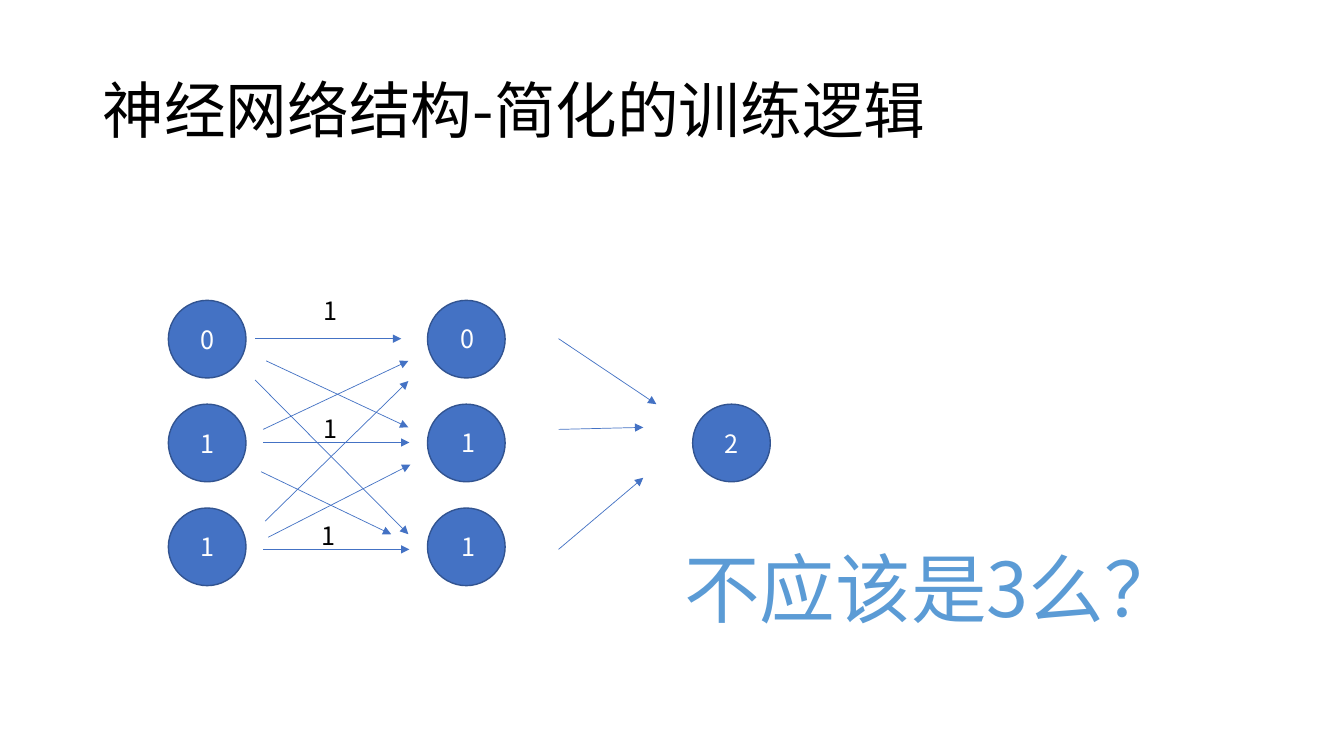
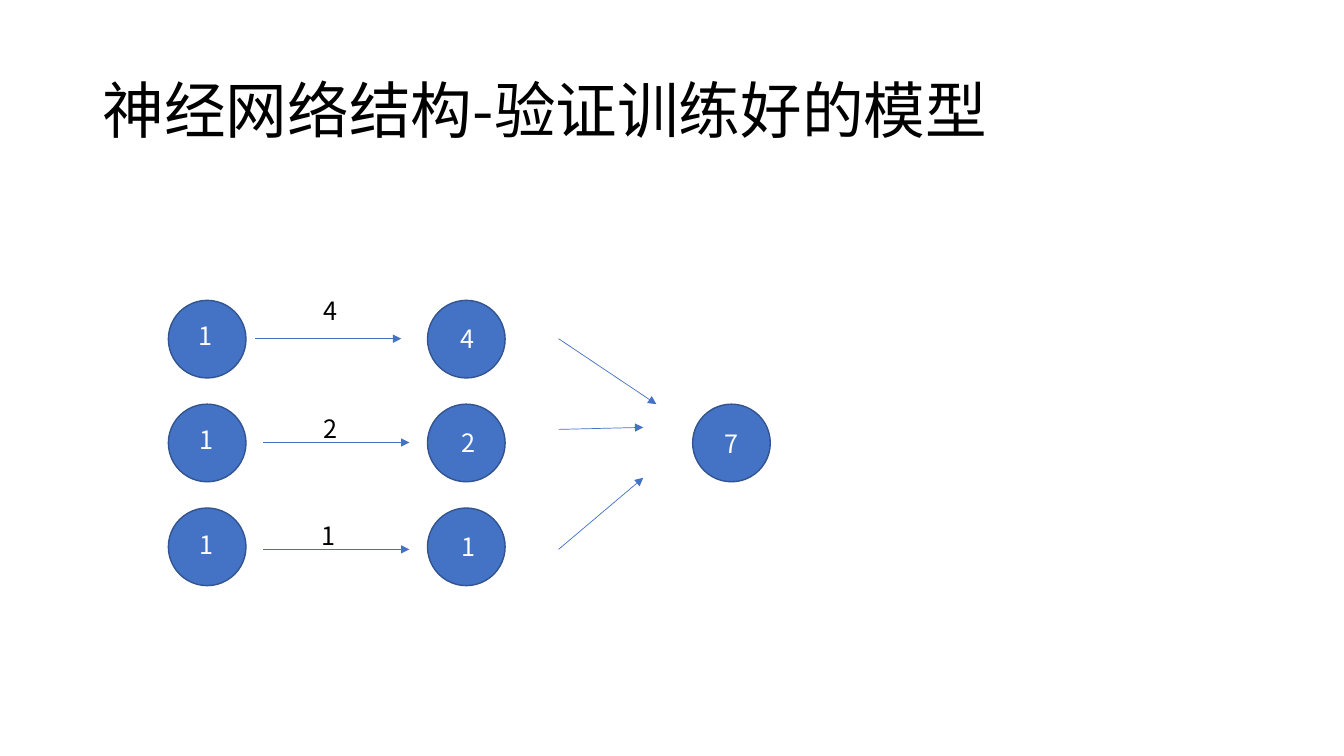
from lxml import etree
from pptx import Presentation
from pptx.dml.color import RGBColor
from pptx.enum.shapes import MSO_CONNECTOR, MSO_SHAPE
from pptx.enum.text import MSO_ANCHOR, MSO_AUTO_SIZE, PP_ALIGN
from pptx.oxml.ns import qn
from pptx.util import Inches, Pt

BLUE = RGBColor(0x44, 0x72, 0xC4)
NAVY = RGBColor(0x32, 0x54, 0x91)
SKY = RGBColor(0x5B, 0x9B, 0xD5)
BLACK = RGBColor(0, 0, 0)
WHITE = RGBColor(255, 255, 255)
FONT = "Noto Sans CJK SC"
OVAL = MSO_SHAPE.OVAL
LINE = MSO_CONNECTOR.STRAIGHT
LEFT, CENTER = PP_ALIGN.LEFT, PP_ALIGN.CENTER
MIDDLE = MSO_ANCHOR.MIDDLE
GROW = MSO_AUTO_SIZE.SHAPE_TO_FIT_TEXT

SIZE = 0.77
ROWS = [2.98, 4.01, 5.04]
NODES = [(x, y) for x in (1.67, 4.24) for y in ROWS] + [(6.87, ROWS[1])]
WEIGHTS = [(3.11, 2.88), (3.11, 4.05), (3.09, 5.11)]
SUMS = [(4.47, 3.16), (4.48, 4.19), (4.48, 5.22), (7.09, 4.2)]
INPUTS = [(1.87, 3.13), (1.88, 4.16), (1.88, 5.2)]
ARROWS = [
    (2.53, 3.36, 3.98, 3.36),
    (2.61, 4.39, 4.06, 4.39),
    (2.61, 5.45, 4.06, 5.45),
    (5.54, 3.36, 6.51, 4.01),
    (5.54, 4.26, 6.38, 4.24),
    (5.54, 5.45, 6.38, 4.74),
]
CROSSED = [
    (2.64, 3.58, 4.05, 4.24),
    (2.53, 3.77, 4.05, 5.3),
    (2.61, 4.26, 4.05, 3.58),
    (2.59, 4.68, 3.88, 5.3),
    (2.63, 5.17, 4.05, 3.78),
    (2.66, 5.33, 4.07, 4.61),
]
SLIDES = [
    {"title": "神经网络结构-简化的训练逻辑", "arrows": ARROWS + CROSSED,
     "inner": "011", "outer": "", "weights": "111", "sums": "0112",
     "ask": "不应该是3么？"},
    {"title": "神经网络结构-验证训练好的模型", "arrows": ARROWS,
     "inner": "", "outer": "111", "weights": "421", "sums": "4217",
     "ask": ""},
]


def write(shape, words, size, color, align=LEFT):
    """Put one styled run into the shape and return its paragraph."""
    para = shape.text_frame.paragraphs[0]
    para.alignment = align
    run = para.add_run()
    run.text = words
    run.font.name = FONT
    run.font.size = Pt(size)
    run.font.color.rgb = color
    east = etree.SubElement(run.font._element, qn("a:ea"))
    east.set("typeface", FONT)
    return para


def label(slide, words, place, size, color, align=LEFT):
    """Add a text box that fits its single line."""
    box = slide.shapes.add_textbox(*map(Inches, place))
    box.text_frame.word_wrap = False
    box.text_frame.auto_size = GROW
    write(box, words, size, color, align)


deck = Presentation()
deck.slide_width = Inches(13.33)
deck.slide_height = Inches(7.5)

for data in SLIDES:
    slide = deck.slides.add_slide(deck.slide_layouts[6])

    title = slide.shapes.add_textbox(
        Inches(0.92), Inches(0.4), Inches(11.5), Inches(1.45))
    title.text_frame.word_wrap = True
    title.text_frame.vertical_anchor = MIDDLE
    write(title, data["title"], 44, BLACK).line_spacing = 0.9

    nodes = []
    for x, y in NODES:
        node = slide.shapes.add_shape(
            OVAL, Inches(x), Inches(y), Inches(SIZE), Inches(SIZE))
        node.shadow.inherit = False
        node.fill.solid()
        node.fill.fore_color.rgb = BLUE
        node.line.color.rgb = NAVY
        node.line.width = Pt(1)
        node.text_frame.vertical_anchor = MIDDLE
        nodes.append(node)
    for node, digit in zip(nodes, data["inner"]):
        write(node, digit, 18, WHITE, CENTER)

    for ends in data["arrows"]:
        arrow = slide.shapes.add_connector(LINE, *map(Inches, ends))
        arrow.line.color.rgb = BLUE
        arrow.line.width = Pt(0.5)
        tip = etree.SubElement(arrow.line._get_or_add_ln(), qn("a:tailEnd"))
        tip.set("type", "triangle")
        etree.SubElement(arrow._element.spPr, qn("a:effectLst"))

    for key, spots, color in (("weights", WEIGHTS, BLACK),
                              ("sums", SUMS, WHITE),
                              ("outer", INPUTS, WHITE)):
        for digit, (x, y) in zip(data[key], spots):
            label(slide, digit, (x, y, 0.34, 0.4), 18, color)

    if data["ask"]:
        label(slide, data["ask"], (6.67, 5.33, 5.15, 1.01), 54, SKY, CENTER)

deck.save("out.pptx")
